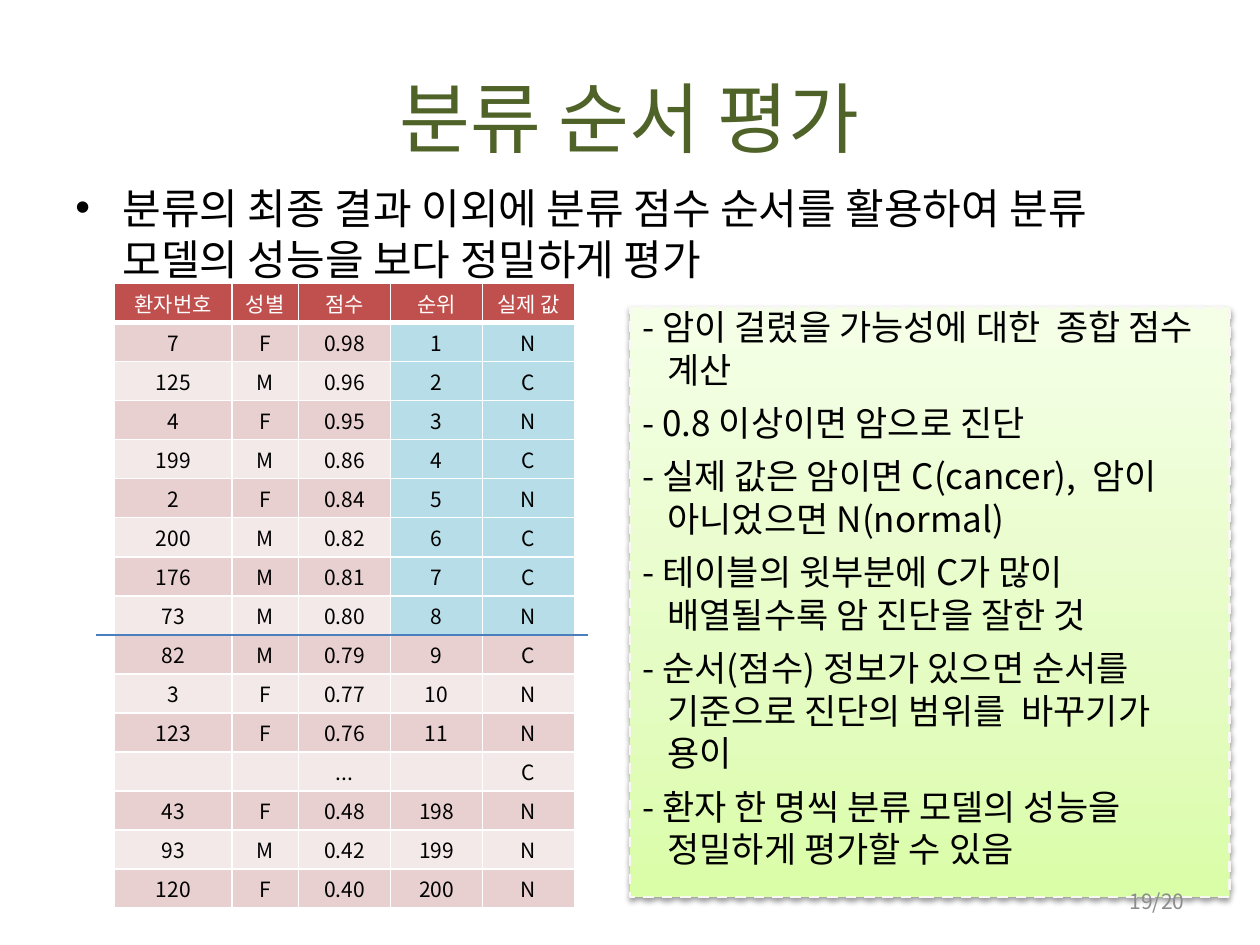
from lxml.etree import SubElement as Sub
from pptx import Presentation
from pptx.dml.color import RGBColor as Rgb
from pptx.enum.dml import MSO_LINE as Dash
from pptx.enum.shapes import MSO_CONNECTOR as Link, MSO_SHAPE as Form
from pptx.enum.text import MSO_ANCHOR as Anchor, PP_ALIGN as Align
from pptx.oxml.ns import qn
from pptx.util import Inches, Pt

FONT = "Noto Sans CJK KR"
COLS, ROWS = 100, 75
UNIT = Inches(10) // COLS
LEAD = 1.22
HUES = {
    "title": "4F6228", "ink": "000000", "white": "FFFFFF", "page": "8C8C8C",
    "head": "C0504D", "odd": "E8D0D0", "even": "F4E9E9", "top": "B7DEE8",
    "rule": "4B7EBC", "edge": "F8F7F3",
    "deep": "DAFDA7", "mid": "E4FCC2", "pale": "F5FFE7",
}
HEADS = ["환자번호", "성별", "점수", "순위", "실제 값"]
CASES = [
    ("7", "F", "0.98", "1", "N"),
    ("125", "M", "0.96", "2", "C"),
    ("4", "F", "0.95", "3", "N"),
    ("199", "M", "0.86", "4", "C"),
    ("2", "F", "0.84", "5", "N"),
    ("200", "M", "0.82", "6", "C"),
    ("176", "M", "0.81", "7", "C"),
    ("73", "M", "0.80", "8", "N"),
    ("82", "M", "0.79", "9", "C"),
    ("3", "F", "0.77", "10", "N"),
    ("123", "F", "0.76", "11", "N"),
    ("", "", "...", "", "C"),
    ("43", "F", "0.48", "198", "N"),
    ("93", "M", "0.42", "199", "N"),
    ("120", "F", "0.40", "200", "N"),
]
WIDTHS = [9.3, 5.3, 7.3, 7.3, 7.3]
CUT = 8
NOTES = [
    "- 암이 걸렸을 가능성에 대한  종합 점수 계산",
    "- 0.8 이상이면 암으로 진단",
    "- 실제 값은 암이면 C(cancer),  암이 아니었으면 N(normal)",
    "- 테이블의 윗부분에 C가 많이 배열될수록 암 진단을 잘한 것",
    "- 순서(점수) 정보가 있으면 순서를 기준으로 진단의 범위를  바꾸기가 용이",
    "- 환자 한 명씩 분류 모델의 성능을 정밀하게 평가할 수 있음",
]


def span(n):
    return round(n * UNIT)


def spans(box):
    return [span(n) for n in box]


def tint(name):
    return Rgb.from_string(HUES[name])


def paint(node, name):
    fill = Sub(node, qn("a:solidFill"))
    return Sub(fill, qn("a:srgbClr"), val=HUES[name])


def write(para, text, size, hue, align=Align.LEFT):
    para.alignment = align
    run = para.add_run()
    run.text = text
    font = run.font
    font.size = Pt(size)
    font.color.rgb = tint(hue)
    font.name = FONT
    Sub(run._r.get_or_add_rPr(), qn("a:ea"), typeface=FONT)


def hang(para, size, depth, gap):
    para.line_spacing = Pt(round(size * LEAD, 1))
    para.space_before = Pt(gap)
    props = para._p.get_or_add_pPr()
    props.set("marL", str(span(depth)))
    props.set("indent", str(-span(depth)))
    return props


def label(slide, box, text, size, hue, align, anchor=Anchor.MIDDLE):
    frame = slide.shapes.add_textbox(*spans(box)).text_frame
    frame.word_wrap = True
    frame.vertical_anchor = anchor
    para = frame.paragraphs[0]
    write(para, text, size, hue, align)
    return para


def lead(slide, box, text):
    para = label(slide, box, text, 24, "ink", Align.LEFT, Anchor.TOP)
    props = hang(para, 24, 3.75, 4.8)
    Sub(props, qn("a:buFont"), typeface="Arial")
    Sub(props, qn("a:buChar"), char="•")


def style(cell, text, fill, hue, foot):
    cell.margin_left = cell.margin_right = span(0.7)
    cell.margin_top = cell.margin_bottom = span(0.2)
    cell.vertical_anchor = Anchor.MIDDLE
    props = cell._tc.get_or_add_tcPr()
    for side, width in zip("LRTB", (1, 1, 1, foot)):
        paint(Sub(props, qn("a:ln" + side), w=str(Pt(width))), "white")
    cell.fill.solid()
    cell.fill.fore_color.rgb = tint(fill)
    para = cell.text_frame.paragraphs[0]
    if text:
        write(para, text, 12, hue, Align.CENTER)
    else:
        Sub(para._p, qn("a:endParaRPr"), sz="1200")


def ranks(slide, box):
    left, top, wide, high = box
    data = [HEADS] + CASES
    step = high / len(data)
    grid = slide.shapes.add_table(len(data), len(HEADS), *spans(box)).table
    for col, width in zip(grid.columns, WIDTHS):
        col.width = span(width)
    for r, line in enumerate(data):
        grid.rows[r].height = span(step)
        for c, text in enumerate(line):
            if r == 0:
                look = "head", "white", 3
            elif r <= CUT and c >= 3:
                look = "top", "ink", 1
            else:
                look = "odd" if r % 2 else "even", "ink", 1
            style(grid.cell(r, c), text, *look)
    return top + step * (CUT + 1)


def rule(slide, start, end, y):
    line = slide.shapes.add_connector(Link.STRAIGHT, *spans((start, y, end, y)))
    line.line.color.rgb = tint("rule")
    line.line.width = Pt(1.5)
    Sub(line._element.spPr, qn("a:effectLst"))


def shade(shape):
    shape.fill.gradient()
    shape.fill.gradient_angle = 90
    stops = shape._element.spPr.find(qn("a:gradFill")).find(qn("a:gsLst"))
    for stop in list(stops):
        stops.remove(stop)
    for place, name in ((0, "deep"), (35, "mid"), (100, "pale")):
        stop = Sub(stops, qn("a:gs"), pos=str(place * 1000))
        Sub(stop, qn("a:srgbClr"), val=HUES[name])


def drop(shape):
    shape.shadow.inherit = False
    glow = shape._element.spPr.find(qn("a:effectLst"))
    cast = Sub(glow, qn("a:outerShdw"), blurRad=str(Pt(3.1)), dist=str(Pt(1.6)),
               dir="5400000", rotWithShape="0")
    tone = Sub(cast, qn("a:srgbClr"), val=HUES["ink"])
    Sub(tone, qn("a:alpha"), val="38000")


def panel(slide, box):
    shape = slide.shapes.add_shape(Form.RECTANGLE, *spans(box))
    shade(shape)
    shape.line.color.rgb = tint("edge")
    shape.line.width = Pt(1.5)
    shape.line.dash_style = Dash.DASH
    drop(shape)
    frame = shape.text_frame
    frame.word_wrap = True
    frame.vertical_anchor = Anchor.MIDDLE
    frame.margin_top, frame.margin_bottom = 0, span(2.4)
    for n, note in enumerate(NOTES):
        para = frame.add_paragraph() if n else frame.paragraphs[0]
        write(para, note, 20, "ink")
        hang(para, 20, 2, 6)


def main():
    deck = Presentation()
    deck.slide_width, deck.slide_height = spans((COLS, ROWS))
    slide = deck.slides.add_slide(deck.slide_layouts[6])
    label(slide, (5, 3, 90, 12.5), "분류 순서 평가", 44, "title", Align.CENTER)
    lead(slide, (5, 13.9, 90, 49.5),
         "분류의 최종 결과 이외에 분류 점수 순서를 활용하여 분류 모델의 성능을 보다 정밀하게 평가")
    cut = ranks(slide, (9.1, 22.5, sum(WIDTHS), 49.6))
    panel(slide, (50, 24.4, 47.6, 46.8))
    rule(slide, 7.6, 46.7, cut)
    label(slide, (71.7, 69.5, 23.3, 4), "19/20", 12, "page", Align.RIGHT)
    deck.save("out.pptx")


if __name__ == "__main__":
    main()
